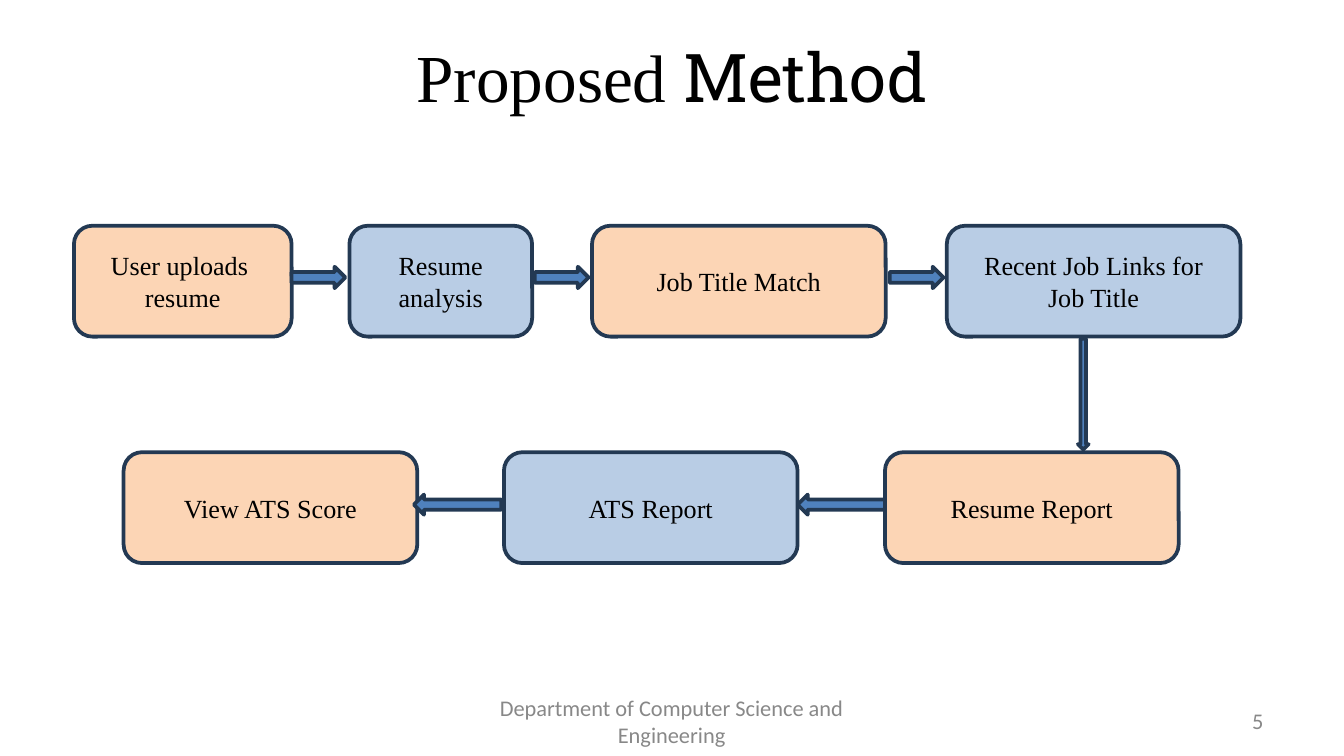
"""Build the Proposed Method slide: a two-row flow of boxes and block arrows."""
from pptx import Presentation
from pptx.dml.color import RGBColor
from pptx.enum.shapes import MSO_SHAPE
from pptx.enum.text import MSO_ANCHOR, PP_ALIGN
from pptx.util import Pt

ROUND = MSO_SHAPE.ROUNDED_RECTANGLE
RIGHT, LEFT, DOWN = MSO_SHAPE.RIGHT_ARROW, MSO_SHAPE.LEFT_ARROW, MSO_SHAPE.DOWN_ARROW
MID = MSO_ANCHOR.MIDDLE
CENTER, END = PP_ALIGN.CENTER, PP_ALIGN.RIGHT
PX = 4572
SERIF = "Times New Roman"
HUES = {"peach": "FCD5B5", "sky": "B9CDE5", "blue": "4F81BD",
        "navy": "233953", "black": "000000", "gray": "888888"}


def write(frame, text, face=SERIF, size=14, ink="black", align=CENTER):
    frame.word_wrap = True
    frame.vertical_anchor = MID
    for i, block in enumerate(text.split("\n")):
        para = frame.add_paragraph() if i else frame.paragraphs[-1]
        para.alignment = align
        for j, line in enumerate(block.split("\v")):
            if j:
                para.add_line_break()
            run = para.add_run()
            run.text = line
            run.font.name = face
            run.font.size = Pt(size)
            run.font.color.rgb = RGBColor.from_string(HUES[ink])


def draw(kind, x, y, w, h, fill):
    shape = slide.shapes.add_shape(kind, x * PX, y * PX, w * PX, h * PX)
    shape.shadow.inherit = False
    shape.fill.solid()
    shape.fill.fore_color.rgb = RGBColor.from_string(HUES[fill])
    shape.line.color.rgb = RGBColor.from_string(HUES["navy"])
    shape.line.width = Pt(2)
    return shape


deck = Presentation()
deck.slide_width, deck.slide_height = 2000 * PX, 1125 * PX
slide = deck.slides.add_slide(deck.slide_layouts[5])

title = slide.shapes.title
title.left, title.top, title.width, title.height = 537 * PX, 44 * PX, 926 * PX, 138 * PX
write(title.text_frame, "Proposed", size=36)
write(title.text_frame, " Method", face="Roboto Slab", size=36)

footer = [("5", 1433, 467, END),
          ("Department of Computer Science and Engineering", 683, 633, CENTER)]
for text, x, w, align in footer:
    box = slide.shapes.add_textbox(x * PX, 1043 * PX, w * PX, 60 * PX)
    write(box.text_frame, text, face="Calibri", size=12, ink="gray", align=align)

steps = [("User uploads \nresume", 110, 336, 324, "peach"),
         ("Resume\vanalysis", 520, 336, 272, "sky"),
         ("Job Title Match", 881, 336, 437, "peach"),
         ("Recent Job Links for Job Title", 1409, 336, 437, "sky"),
         ("Resume Report", 1317, 673, 437, "peach"),
         ("ATS Report", 750, 673, 437, "sky"),
         ("View ATS Score", 184, 673, 437, "peach")]
for text, x, y, w, fill in steps:
    write(draw(ROUND, x, y, w, 165, fill).text_frame, text)

for x in (434, 796, 1324):
    draw(RIGHT, x, 397, 80, 32, "blue")
draw(DOWN, 1604, 504, 16, 165, "blue")
for x in (1187, 616):
    draw(LEFT, x, 736, 130, 30, "blue")

deck.save("out.pptx")
